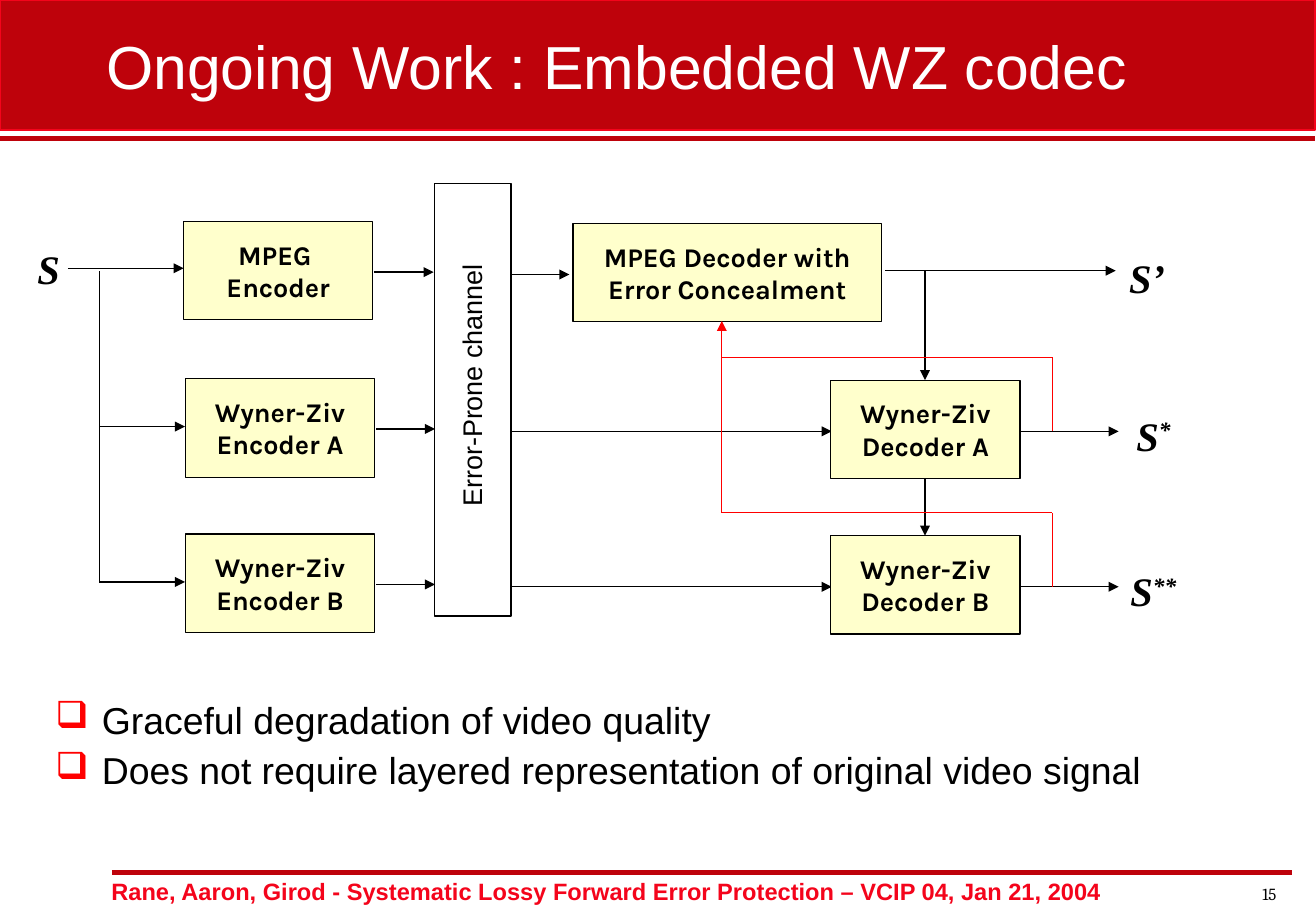
from lxml import etree
from pptx import Presentation
from pptx.dml.color import RGBColor
from pptx.enum.shapes import MSO_CONNECTOR, MSO_SHAPE
from pptx.enum.text import MSO_ANCHOR, MSO_AUTO_SIZE, PP_ALIGN
from pptx.oxml.ns import qn
from pptx.util import Cm, Pt

TITLE = "Ongoing Work : Embedded WZ codec"
FOOTER = "Rane, Aaron, Girod - Systematic Lossy Forward Error Protection – VCIP 04, Jan 21, 2004"
PAGE = "15"
CHANNEL = "Error-Prone channel"
POINTS = [
    "Graceful degradation of video quality",
    "Does not require layered representation of original video signal",
]
# Layer letter, superscript of its output, start of the link into its decoder,
# end of its feedback line, whether that feedback ends in an arrow
LAYERS = [
    ("A", "*", 5.66, 6.71, True),
    ("B", "**", 10.01, 7.42, False),
]
# Start x, end x, y, of the arrows in the MPEG row
MPEG_ARROWS = [
    (1.42, 3.84, 5.61),
    (7.82, 9.07, 5.69),
    (10.69, 11.91, 5.74),
    (18.52, 23.34, 5.66),
]

CRIMSON, SCARLET, RED = "BE020B", "F4041B", "FF0000"
BLACK, WHITE, CREAM = "000000", "FFFFFF", "FFFFCC"
LAYER_TOP, LAYER_PITCH = 7.92, 3.25
CODEC_W, CODEC_H = 3.96, 2.06
SPLIT_X, LINK_X, FEEDBACK_X, OUTPUT_X = 2.08, 19.35, 15.1, 22.01

deck = Presentation()
deck.slide_width, deck.slide_height = Cm(27.53), Cm(19.05)
slide = deck.slides.add_slide(deck.slide_layouts[6])


def color(hex_code):
    return RGBColor.from_string(hex_code)


def style(run, size, font, hex_code, bold=False, italic=False):
    run.font.size, run.font.name = Pt(size), font
    run.font.bold, run.font.italic = bold, italic
    run.font.color.rgb = color(hex_code)


def box(x, y, w, h, fill, border, width):
    rect = slide.shapes.add_shape(MSO_SHAPE.RECTANGLE, Cm(x), Cm(y), Cm(w), Cm(h))
    rect.shadow.inherit = False
    if fill:
        rect.fill.solid()
        rect.fill.fore_color.rgb = color(fill)
    else:
        rect.fill.background()
    rect.line.color.rgb = color(border)
    rect.line.width = Pt(width)
    return rect


def codec(words, x, y, w=CODEC_W):
    rect = box(x, y, w, CODEC_H, CREAM, BLACK, 0.75)
    frame = rect.text_frame
    frame.text = words
    frame.word_wrap = True
    frame.vertical_anchor = MSO_ANCHOR.MIDDLE
    for paragraph in frame.paragraphs:
        paragraph.alignment = PP_ALIGN.CENTER
        style(paragraph.runs[0], 16, "Karla", BLACK, bold=True)


def label(words, x, y, w, h, *look, align=PP_ALIGN.LEFT, **emphasis):
    holder = slide.shapes.add_textbox(Cm(x), Cm(y), Cm(w), Cm(h))
    frame = holder.text_frame
    frame.text = words
    frame.word_wrap = True
    for paragraph in frame.paragraphs:
        paragraph.alignment = align
        style(paragraph.runs[0], *look, **emphasis)
    return holder


def one_line(words, x, y, w, h, *look):
    """Centred text that never wraps and has no side margins."""
    holder = label(words, x, y, w, h, *look, align=PP_ALIGN.CENTER)
    frame = holder.text_frame
    frame.margin_left = frame.margin_right = 0
    frame.word_wrap = False
    frame.auto_size = MSO_AUTO_SIZE.SHAPE_TO_FIT_TEXT
    return holder


def signal(words, x, y, superscript=""):
    look = (24, "Times New Roman", BLACK, True, True)
    holder = label(words, x, y, 2.24, 0.97, *look, align=PP_ALIGN.CENTER)
    if superscript:
        run = holder.text_frame.paragraphs[0].add_run()
        run.text = superscript
        style(run, *look)
        run.font._element.set("baseline", "30000")


def line(x1, y1, x2, y2, hex_code=BLACK, width=0.75, arrow=False):
    link = slide.shapes.add_connector(
        MSO_CONNECTOR.STRAIGHT, Cm(x1), Cm(y1), Cm(x2), Cm(y2))
    link.line.color.rgb = color(hex_code)
    link.line.width = Pt(width)
    if arrow:
        etree.SubElement(link.line._get_or_add_ln(), qn("a:tailEnd"), type="triangle")
    etree.SubElement(link._element.spPr, qn("a:effectLst"))


def add_bullet(paragraph):
    properties = paragraph._p.get_or_add_pPr()
    properties.set("marL", str(Cm(0.97)))
    properties.set("indent", str(-Cm(0.97)))
    bullet_color = etree.SubElement(properties, qn("a:buClr"))
    etree.SubElement(bullet_color, qn("a:srgbClr"), val=RED)
    etree.SubElement(properties, qn("a:buChar"), char="❑")


def draw_layer(index, letter, superscript, link_start, feedback_end, feedback_arrow):
    top = LAYER_TOP + index * LAYER_PITCH
    branch_y, output_y, feedback_y = top + 1, top + 1.1, top - 0.45
    line(SPLIT_X, branch_y - LAYER_PITCH, SPLIT_X, branch_y)
    line(SPLIT_X, branch_y, 3.87, branch_y, arrow=True)
    line(7.87, top + 1.05, 9.1, top + 1.05, arrow=True)
    line(10.67, output_y, 17.4, output_y, arrow=True)
    line(21.36, output_y, 23.4, output_y, arrow=True)
    line(LINK_X, link_start, LINK_X, top + 0.03, arrow=True)
    line(OUTPUT_X, output_y, OUTPUT_X, feedback_y, RED)
    line(OUTPUT_X, feedback_y, FEEDBACK_X, feedback_y, RED)
    line(FEEDBACK_X, feedback_y, FEEDBACK_X, feedback_end, RED, arrow=feedback_arrow)
    codec(f"Wyner-Ziv\nEncoder {letter}", 3.88, top)
    codec(f"Wyner-Ziv\nDecoder {letter}", 17.38, top + 0.03)
    signal("S", 23.01, top + 0.54, superscript)


# Slide frame
box(0, 0, 27.51, 2.72, CRIMSON, SCARLET, 1)
line(0, 2.9, 27.51, 2.9, CRIMSON, 3)
line(2.34, 18.24, 27.03, 18.24, CRIMSON, 3)
one_line(TITLE, 2.21, 0.48, 21.39, 1.78, 36, "Arial", WHITE)
label(FOOTER, 2.08, 18.21, 23.77, 0.84, 14, "Arial", SCARLET, bold=True)
label(PAGE, 25.96, 18.36, 0.99, 0.74, 10, "Cambria", BLACK, align=PP_ALIGN.RIGHT)

# Channel and MPEG row
box(9.09, 3.84, 1.6, 9.04, None, BLACK, 1)
one_line(CHANNEL, 7.09, 7.59, 5.56, 0.94, 16, "Arial", BLACK).rotation = 270
for start, end, y in MPEG_ARROWS:
    line(start, y, end, y, arrow=True)
codec("MPEG \nEncoder", 3.84, 4.63)
codec("MPEG Decoder with Error Concealment", 11.99, 4.67, 6.45)
signal("S", -0.1, 4.98)
signal("S’", 22.88, 5.16)

# Wyner-Ziv rows
for index, layer in enumerate(LAYERS):
    draw_layer(index, *layer)

# Conclusions
conclusions = label("\n".join(POINTS), 0.91, 14.55, 26.16, 2.34, 22.2, "Arial", BLACK)
for paragraph in conclusions.text_frame.paragraphs:
    paragraph.line_spacing = 0.9
    paragraph.space_before = Pt(6)
    add_bullet(paragraph)

deck.save("out.pptx")
